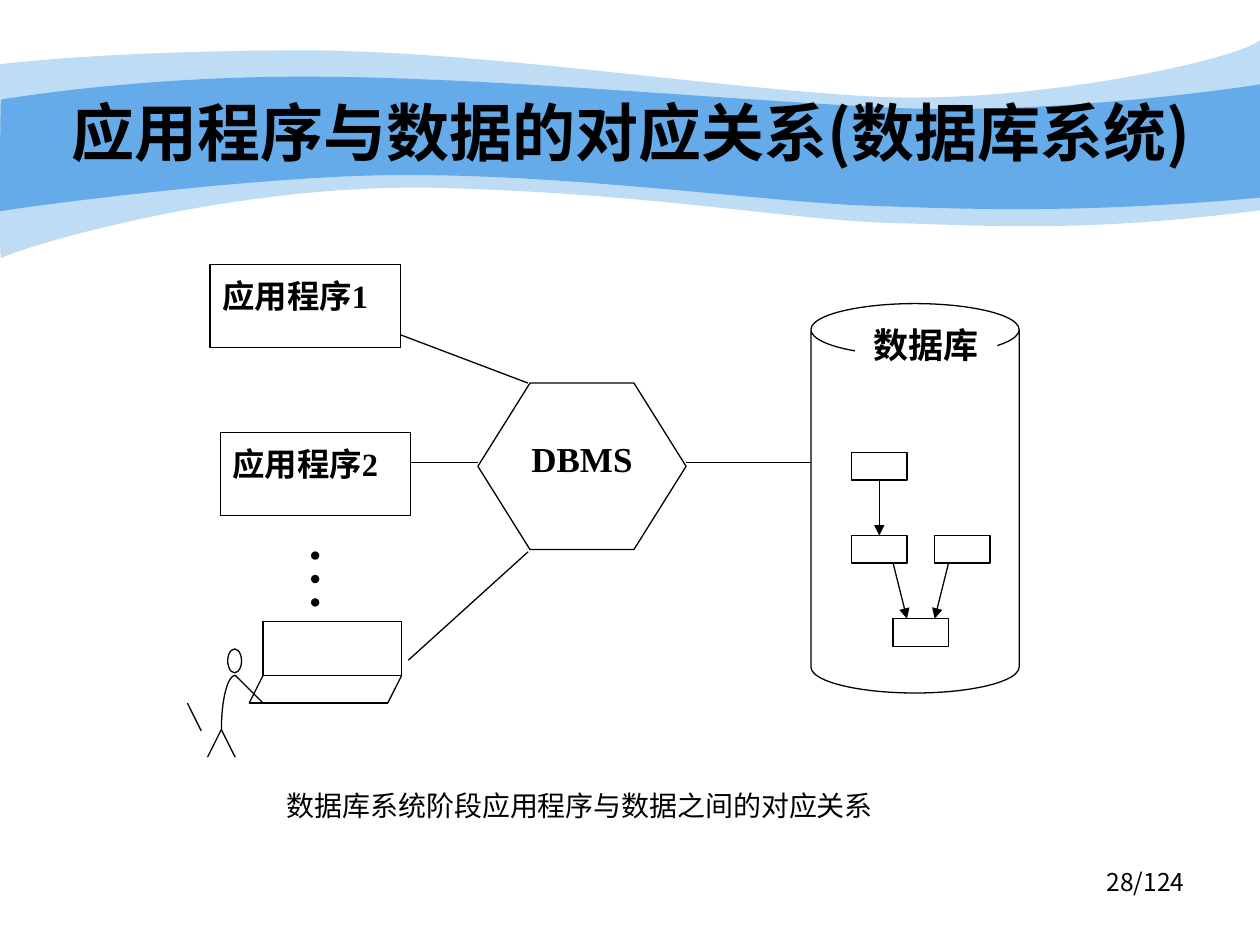
from lxml import etree
from pptx import Presentation
from pptx.dml.color import RGBColor
from pptx.enum.shapes import MSO_CONNECTOR, MSO_SHAPE
from pptx.enum.text import MSO_ANCHOR, PP_ALIGN
from pptx.oxml.ns import qn
from pptx.util import Pt

STRAIGHT = MSO_CONNECTOR.STRAIGHT
RECT, HEXAGON, CAN = MSO_SHAPE.RECTANGLE, MSO_SHAPE.HEXAGON, MSO_SHAPE.CAN
HEAD = MSO_SHAPE.FLOWCHART_CONNECTOR
LEFT, CENTER, RIGHT, JUSTIFY = PP_ALIGN.LEFT, PP_ALIGN.CENTER, PP_ALIGN.RIGHT, PP_ALIGN.JUSTIFY
TOP, MIDDLE = MSO_ANCHOR.TOP, MSO_ANCHOR.MIDDLE

BLACK = RGBColor(0x00, 0x00, 0x00)
WHITE = RGBColor(0xFF, 0xFF, 0xFF)
BLUE = RGBColor(0x65, 0xAA, 0xE9)
SANS, SERIF = "Noto Sans CJK SC", "Times New Roman"
STROKE = 0.75
BOTTOM_SIDE, TOP_SIDE = 2, 0

# Each wave: a start point, then segments of one point (line) or three (Bézier curve).
OUTER_WAVE = ((0, 36.7), [
    [(17.3, 34.6), (77, 28.8), (177.8, 28.8)],
    [(277.9, 29.5), (414, 51.1), (503.3, 55.4)],
    [(591.8, 59), (705.6, 34.6), (720, 23)],
    [(720, 120.2)],
    [(617.8, 133.2), (566.6, 128.9), (507.6, 127.4)],
    [(447.8, 125.3), (370.8, 110.2), (247, 107.3)],
    [(123.8, 105.1), (2.9, 144.7), (0.7, 147.6)],
    [(-0.7, 151.2), (0, 55.4), (0, 36.7)]])
INNER_WAVE = ((0.7, 56.9), [
    [(1.4, 56.9), (79.2, 43.2), (178.6, 43.9)],
    [(277.9, 43.9), (428.4, 58.3), (517, 61.9)],
    [(605.5, 64.8), (702.7, 51.1), (720, 48.2)],
    [(720, 113)],
    [(614.2, 122.4), (550.8, 119.5), (491, 117.4)],
    [(431.3, 114.5), (321.8, 99.4), (228.2, 100.1)],
    [(146.2, 100.1), (-1.4, 120.2), (-0.7, 121)],
    [(0, 121), (0, 56.9), (0.7, 56.9)]])


def add_outline(page, start, segments, close):
    """Add a freeform whose three-point segments become cubic Bézier curves."""
    corners = [(Pt(x), Pt(y)) for segment in segments for x, y in segment]
    builder = page.shapes.build_freeform(Pt(start[0]), Pt(start[1]), scale=1.0)
    builder.add_line_segments(corners, close=close)
    outline = builder.convert_to_shape()
    outline.shadow.inherit = False
    steps = iter(list(outline._element.iter(qn("a:lnTo"))))
    for segment in segments:
        first, *others = [next(steps) for _ in segment]
        if others:
            curve = etree.Element(qn("a:cubicBezTo"))
            first.addprevious(curve)
            for step in (first, *others):
                curve.append(step[0])
                step.getparent().remove(step)
    return outline


def add_wave(page, wave, opacity=None):
    band = add_outline(page, *wave, True)
    band.fill.solid()
    band.fill.fore_color.rgb = BLUE
    band.line.fill.background()
    if opacity:
        color = band.fill._xPr.find(qn("a:solidFill"))[0]
        etree.SubElement(color, qn("a:alpha")).set("val", str(opacity * 1000))


def add_box(page, kind, box, outlined=True):
    shape = page.shapes.add_shape(kind, *map(Pt, box))
    shape.shadow.inherit = False
    shape.fill.solid()
    shape.fill.fore_color.rgb = WHITE
    if outlined:
        shape.line.color.rgb = BLACK
        shape.line.width = Pt(STROKE)
    else:
        shape.line.fill.background()
    return shape


def write(shape, text, size, font, align, bold=False, insets=(7.2, 3.6, 7.2, 3.6), anchor=TOP):
    frame = shape.text_frame
    frame.word_wrap = True
    frame.vertical_anchor = anchor
    frame.margin_left, frame.margin_top, frame.margin_right, frame.margin_bottom = map(Pt, insets)
    para = frame.paragraphs[0]
    para.alignment = align
    span = para.add_run()
    span.text = text
    span.font.size, span.font.bold, span.font.name = Pt(size), bold, font
    span.font.color.rgb = BLACK
    etree.SubElement(span.font._element, qn("a:ea")).set("typeface", SANS)
    return para


def add_text(page, box, *args, **options):
    label = page.shapes.add_textbox(*map(Pt, box))
    write(label, *args, **options)
    return label


def add_line(page, start, end, arrow=False):
    line = page.shapes.add_connector(STRAIGHT, *map(Pt, (*start, *end)))
    line.line.color.rgb = BLACK
    line.line.width = Pt(STROKE)
    if arrow:
        etree.SubElement(line.line._get_or_add_ln(), qn("a:tailEnd")).set("type", "triangle")
    etree.SubElement(line._element.spPr, qn("a:effectLst"))
    return line


def draw_header(page, box):
    add_wave(page, OUTER_WAVE, opacity=41)
    add_wave(page, INNER_WAVE)
    add_text(page, box, "应用程序与数据的对应关系(数据库系统)", 36, SANS, CENTER,
             bold=True, anchor=MIDDLE)


def draw_terminal(page, box):
    """Draw a screen above a slanted keyboard."""
    left, top, width, height = box
    slant, screen_height = 7.9, 31
    hinge, bottom, right = top + screen_height, top + height, left + width
    add_box(page, RECT, (left + slant, top, width - slant, screen_height))
    add_line(page, (left + slant, hinge), (left, bottom))
    add_line(page, (right, hinge), (right - slant, bottom))
    add_line(page, (left, bottom), (right - slant, bottom))


def draw_user(page, box):
    """Draw a stick figure that reaches to the right, with strokes behind it."""
    left, top, width, height = box
    neck, hip, foot = top + 15.1, top + 46.1, top + height
    back, shoulder = left + 7.9, left + 15.8
    add_line(page, (left - 19.4, foot + 0.7), (left - 19.4, foot + 0.7))
    add_line(page, (left - 11.5, top + 31), (left - 3.6, top + 46.8))
    add_box(page, HEAD, (left + 11.5, top, 7.9, 13.7))
    body = add_outline(page, (shoulder, neck), [
        [(back + 3.6, neck), (back, neck + 13.7), (back, hip)]], False)
    body.fill.background()
    body.line.color.rgb = BLACK
    body.line.width = Pt(STROKE)
    for foot_x in (shoulder, left):
        add_line(page, (back, hip), (foot_x, foot))
    add_line(page, (shoulder, neck), (left + width, neck + 15.8))


def draw_dbms(page, box):
    hexagon = add_box(page, HEXAGON, box)
    hexagon.adjustments[0] = 0.313
    write(hexagon, "DBMS", 20, SERIF, CENTER, bold=True, insets=(0, 15.1, 0, 3.6))


def draw_database(page, box):
    left, top, width, height = box
    add_box(page, CAN, box).adjustments[0] = 0.25
    step, record_width, record_height = 23.76, 31.7, 15.8
    first_x, first_y = left + 23.2, top + 85
    first, second, third, last = [
        add_box(page, RECT, (first_x + column * step, first_y + row * 2 * step,
                             record_width, record_height))
        for column, row in ((0, 0), (0, 1), (2, 1), (1, 2))]
    middle = first_x + record_width / 2
    link = add_line(page, (middle, first_y + record_height), (middle, first_y + 2 * step), True)
    link.begin_connect(first, BOTTOM_SIDE)
    link.end_connect(second, TOP_SIDE)
    start_y, end_y = first_y + 2 * step + record_height, first_y + 4 * step
    for start, end in ((1, 4 / 3), (7 / 3, 2)):
        add_line(page, (first_x + start * step, start_y), (first_x + end * step, end_y), True)
    name = add_box(page, RECT, (left + 25.2, top + 11.5, 81.4, 31.7), outlined=False)
    write(name, "数据库", 20, SERIF, CENTER, bold=True, insets=(0, 0, 0, 0))


def draw_application(page, box, number):
    program = add_box(page, RECT, box)
    para = write(program, f"应用程序{number}", 18.5, SERIF, JUSTIFY, bold=True,
                 insets=(7.2, 9.4, 7.2, 3.6))
    para.line_spacing = 0.9


def draw_ellipsis(page, box):
    dots = add_text(page, box, "…", 40, SERIF, LEFT, insets=(3.6, 12.9, 3.6, 7.2))
    dots.text_frame.paragraphs[0].space_before = Pt(25)
    dots.text_frame._txBody.bodyPr.set("vert", "eaVert")


def main():
    deck = Presentation()
    deck.slide_width, deck.slide_height = Pt(720), Pt(540)
    page = deck.slides.add_slide(deck.slide_layouts[6])
    draw_header(page, (14.4, 47.4, 691.9, 55.4))
    add_text(page, (516.2, 491.8, 167.8, 37.4), "28/124", 14, SANS, RIGHT)
    draw_terminal(page, (142.4, 355, 87.1, 46.8))
    draw_user(page, (118.6, 370.8, 31.7, 61.9))
    draw_dbms(page, (273.1, 218.9, 119, 95.2))
    draw_database(page, (463.4, 173.5, 119, 222.5))
    for start, end in (((392, 264.2), (463.3, 264.2)), ((227.5, 190.8), (301.7, 218.9)),
                       ((233.3, 264.2), (272.9, 264.2)), ((233.3, 377.3), (301.7, 315.4))):
        add_line(page, start, end)
    draw_application(page, (120, 151, 108.7, 47.5), 1)
    draw_application(page, (125.8, 247.1, 108.7, 47.5), 2)
    draw_ellipsis(page, (160.2, 298.1, 61.9, 66.2))
    add_text(page, (127.8, 445.7, 407.5, 28.8), "数据库系统阶段应用程序与数据之间的对应关系",
             16, SERIF, CENTER, insets=(7.2, 5.2, 7.2, 3.6))
    deck.save("out.pptx")


if __name__ == "__main__":
    main()
